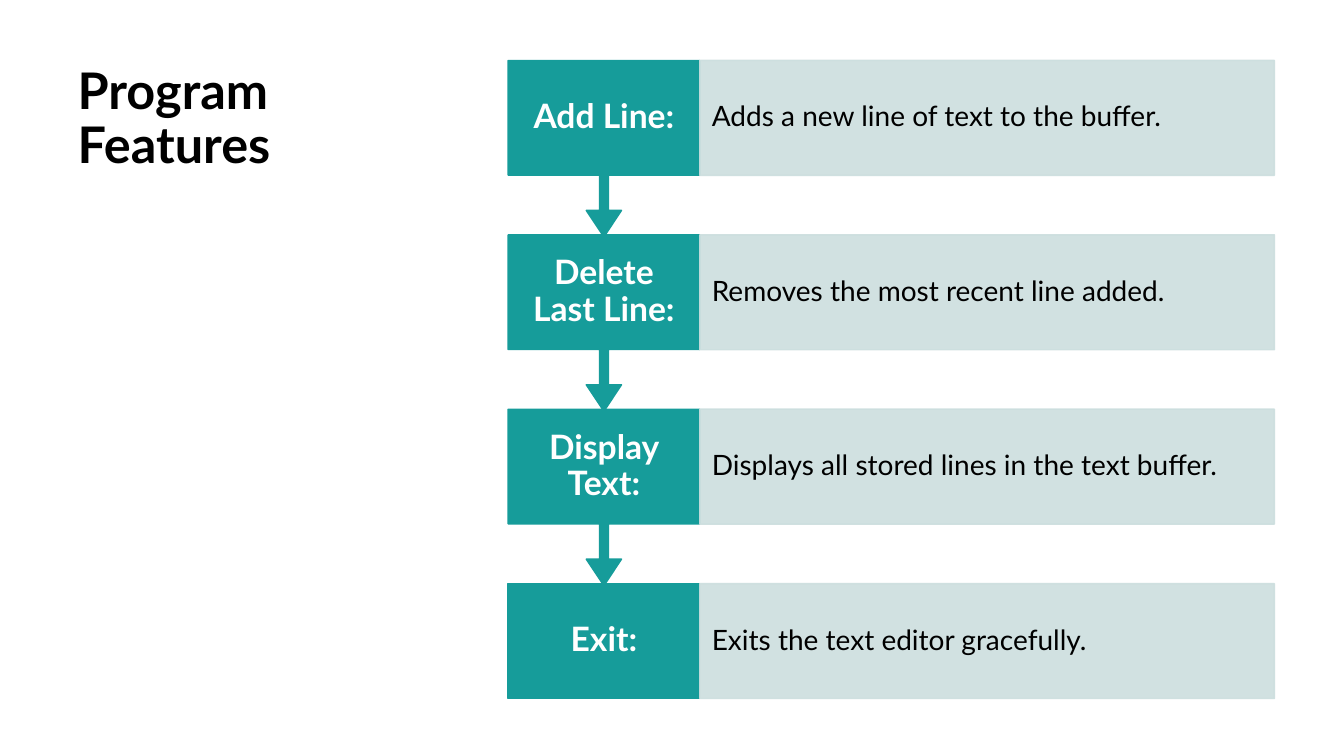
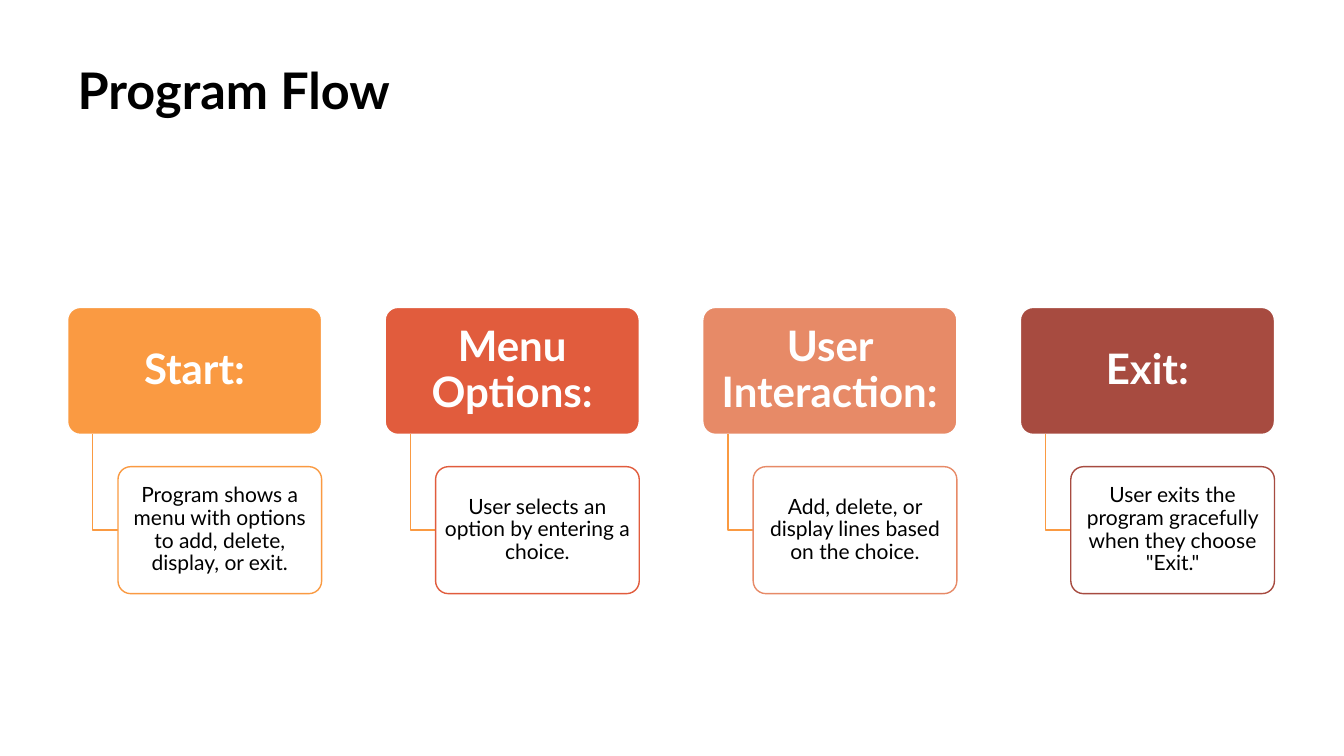
"""Build two slides: the features of a text editor and its program flow."""
from pptx import Presentation
from pptx.dml.color import RGBColor
from pptx.enum.shapes import MSO_SHAPE
from pptx.enum.text import MSO_ANCHOR, MSO_AUTO_SIZE, PP_ALIGN
from pptx.oxml.ns import qn
from pptx.util import Inches, Pt

RECT = MSO_SHAPE.RECTANGLE
ROUND = MSO_SHAPE.ROUNDED_RECTANGLE
CALL = MSO_SHAPE.DOWN_ARROW_CALLOUT
LEFT, MID = PP_ALIGN.LEFT, PP_ALIGN.CENTER
TOP, CENTER = MSO_ANCHOR.TOP, MSO_ANCHOR.MIDDLE
FIXED = MSO_AUTO_SIZE.NONE

COLORS = {
    "black": "000000", "white": "FFFFFF", "teal": "169C9A", "mist": "CCDEDE",
    "orange": "FA9A42", "red": "E15C3D", "salmon": "E78A67", "brick": "A74B40",
}

STEPS = [
    ("Add Line:", "Adds a new line of text to the buffer."),
    ("Delete Last Line:", "Removes the most recent line added."),
    ("Display Text:", "Displays all stored lines in the text buffer."),
    ("Exit:", "Exits the text editor gracefully."),
]
STAGES = [
    ("Start:", "Program shows a menu with options to add, delete, display, or exit.", "orange"),
    ("Menu Options:", "User selects an option by entering a choice.", "red"),
    ("User Interaction:", "Add, delete, or display lines based on the choice.", "salmon"),
    ("Exit:", 'User exits the program gracefully when they choose "Exit."', "brick"),
]

STYLES = {
    "title": {"font": {"size": Pt(36), "bold": True}, "color": "black",
              "align": LEFT, "anchor": TOP, "pad": (0.1, 0.05)},
    "step": {"font": {"size": Pt(24), "bold": True}, "color": "white",
             "align": MID, "anchor": CENTER, "pad": (0.14, 0.19)},
    "panel": {"font": {"size": Pt(20), "bold": False}, "color": "black",
              "align": LEFT, "anchor": CENTER, "pad": (0.12, 0.28)},
    "stage": {"font": {"size": Pt(30), "bold": True}, "color": "white",
              "align": MID, "anchor": CENTER, "pad": (0.06, 0.04)},
    "card": {"font": {"size": Pt(15), "bold": False}, "color": "black",
             "align": MID, "anchor": CENTER, "pad": (0.03, 0.02)},
}

EDGE, HEAD = 0.67, 0.6
STEP_X, STEP_W, STEP_H, STEP_GAP = 5.04, 1.9, 1.14, 1.73
PANEL_W, CALL_H = 5.7, 1.75
CALL_ADJ = (0.05, 0.1, 0.15, 0.65)
STAGE_Y, STAGE_W, STAGE_H, STAGE_GAP = 3.05, 2.52, 1.26, 3.15
CARD_Y, CARD_W, INDENT = 4.63, 2.02, 0.25
CORNER = (0.1,)


def rgb(name):
    return RGBColor.from_string(COLORS[name])


def write(shape, text, name):
    style = STYLES[name]
    frame = shape.text_frame
    frame.text = text
    across, down = map(Inches, style["pad"])
    layout = {"word_wrap": True, "auto_size": FIXED, "vertical_anchor": style["anchor"],
              "margin_left": across, "margin_right": across,
              "margin_top": down, "margin_bottom": down}
    para = frame.paragraphs[0]
    font = para.runs[0].font
    lines = {"alignment": style["align"], "line_spacing": 0.9}
    for part, values in ((frame, layout), (para, lines),
                         (font, {"name": "Lato", **style["font"]})):
        for key, value in values.items():
            setattr(part, key, value)
    font.color.rgb = rgb(style["color"])


def outline(shape, color):
    shape.shadow.inherit = False
    shape.line.color.rgb = rgb(color)
    shape.line.width = Pt(1)


def box(slide, kind, area, fill, line, text, style, adjust=(), alpha=None):
    shape = slide.shapes.add_shape(kind, *map(Inches, area))
    for i, value in enumerate(adjust):
        shape.adjustments[i] = value
    shape.fill.solid()
    shape.fill.fore_color.rgb = rgb(fill)
    outline(shape, line)
    if alpha:
        for color in shape.element.spPr.iter(qn("a:srgbClr")):
            color.append(color.makeelement(qn("a:alpha"), {"val": str(alpha * 1000)}))
    write(shape, text, style)


def elbow(slide, x, top, bottom, color):
    start, *rest = [(Inches(a), Inches(b))
                    for a, b in ((x, top), (x, bottom), (x + INDENT, bottom))]
    path = slide.shapes.build_freeform(*start)
    path.add_line_segments(rest, close=False)
    shape = path.convert_to_shape()
    shape.fill.background()
    outline(shape, color)


def add_slide(deck, text, width, height):
    slide = deck.slides.add_slide(deck.slide_layouts[5])
    title = slide.shapes.title
    area = {"left": EDGE, "top": HEAD, "width": width, "height": height}
    for key, value in area.items():
        setattr(title, key, Inches(value))
    write(title, text, "title")
    return slide


def add_features(deck):
    slide = add_slide(deck, "Program Features", 3.82, 6.33)
    for i, (label, detail) in enumerate(STEPS):
        y = HEAD + i * STEP_GAP
        last = i == len(STEPS) - 1
        kind, height, adjust = (RECT, STEP_H, ()) if last else (CALL, CALL_H, CALL_ADJ)
        box(slide, kind, (STEP_X, y, STEP_W, height), "teal", "teal", label, "step", adjust)
        box(slide, RECT, (STEP_X + STEP_W, y, PANEL_W, STEP_H), "mist", "mist",
            detail, "panel", alpha=90)


def add_flow(deck):
    slide = add_slide(deck, "Program Flow", 11.97, 1.24)
    for i, (label, detail, color) in enumerate(STAGES):
        x = EDGE + i * STAGE_GAP
        box(slide, ROUND, (x, STAGE_Y, STAGE_W, STAGE_H), color, "white",
            label, "stage", CORNER)
        elbow(slide, x + INDENT, STAGE_Y + STAGE_H, CARD_Y + STAGE_H / 2, "orange")
        box(slide, ROUND, (x + 2 * INDENT, CARD_Y, CARD_W, STAGE_H), "white", color,
            detail, "card", CORNER)


def main():
    deck = Presentation()
    deck.slide_width, deck.slide_height = Inches(13.33), Inches(7.5)
    add_features(deck)
    add_flow(deck)
    deck.save("out.pptx")


if __name__ == "__main__":
    main()
